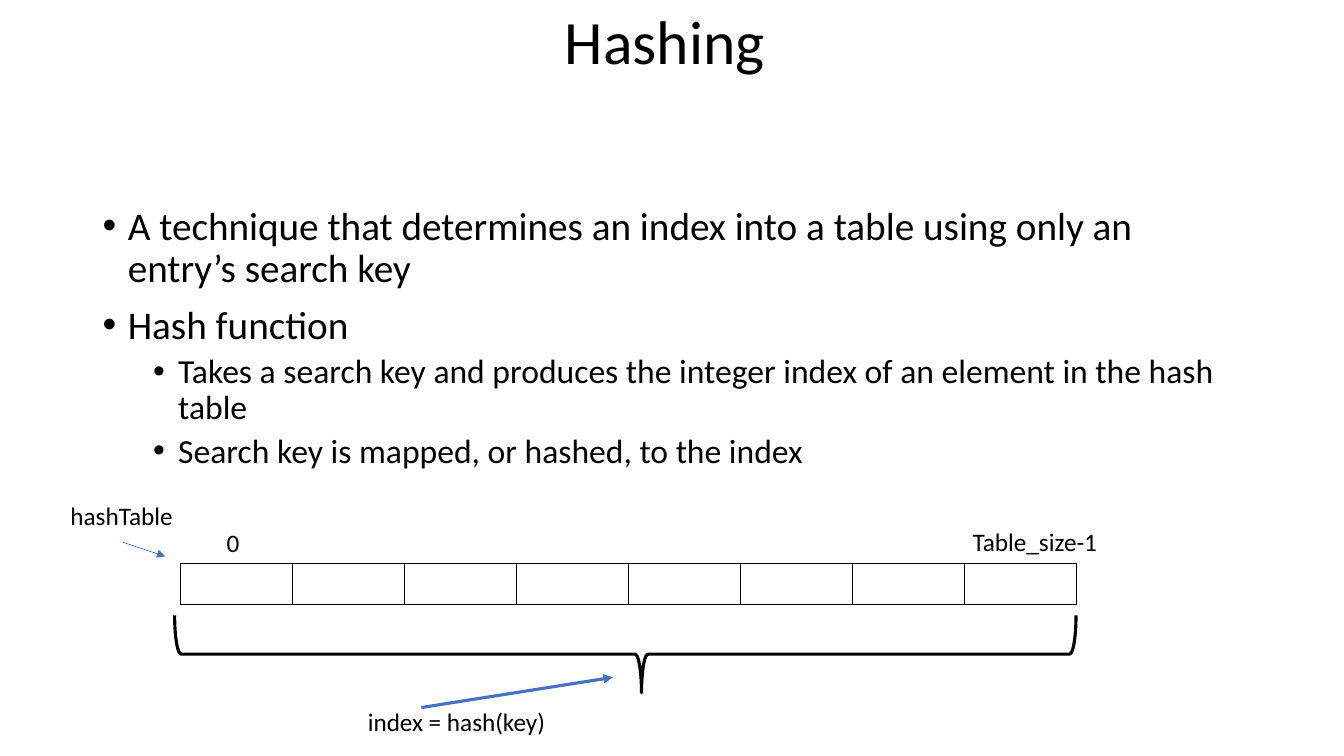
from lxml import etree
from pptx import Presentation
from pptx import util as u
from pptx.dml.color import RGBColor
from pptx.enum import shapes, text
from pptx.oxml import parse_xml
from pptx.oxml.ns import qn

WIDE, HIGH = u.Inches(13.33), u.Inches(7.5)
COLS, ROWS = 96, 54
SLOTS = 8
FONT = "Calibri"
INK = {"text": "000000", "cell": "FFFFFF", "arrow": "4472C4"}
NS = 'xmlns:a="http://schemas.openxmlformats.org/drawingml/2006/main"'
POINTS = [
    (0, "A technique that determines an index into a table using only an entry’s search key"),
    (0, "Hash function"),
    (1, "Takes a search key and produces the integer index of an element in the hash table"),
    (1, "Search key is mapped, or hashed, to the index"),
]
LABELS = [
    ("hashTable", 4.32, 35.42, 8.86),
    ("0", 15.48, 37.3, 2.38),
    ("Table_size-1", 68.76, 37.22, 10.44),
    ("index = hash(key)", 25.56, 50.11, 14.26),
]


def grid(*nums):
    """Turn alternating column and row counts into slide lengths."""
    units = (WIDE / COLS, HIGH / ROWS)
    return [u.Emu(round(n * units[i % 2])) for i, n in enumerate(nums)]


def color(name):
    return RGBColor.from_string(INK[name])


def write(para, words, size):
    run = para.add_run()
    run.text = words
    run.font.name = FONT
    run.font.size = u.Pt(size)
    run.font.color.rgb = color("text")


def add_box(slide, *place, wrap=True):
    frame = slide.shapes.add_textbox(*grid(*place)).text_frame
    frame.word_wrap = wrap
    return frame


def add_title(slide, words):
    frame = add_box(slide, 13.97, 0, 67.03, 6.41)
    frame.vertical_anchor = text.MSO_ANCHOR.MIDDLE
    para = frame.paragraphs[0]
    para.alignment = text.PP_ALIGN.CENTER
    para.line_spacing = 0.9
    write(para, words, 44)


def add_points(slide):
    frame = add_box(slide, 6.62, 14.4, 82.8, 34.27)
    for i, (level, words) in enumerate(POINTS):
        para = frame.add_paragraph() if i else frame.paragraphs[0]
        para.level = level
        para.line_spacing = 0.9
        para.space_before = u.Pt((5 if level else 10) if i else 0)
        props = para._p.get_or_add_pPr()
        props.set("marL", str(u.Inches(0.25 + 0.5 * level)))
        props.set("indent", str(-u.Inches(0.25)))
        etree.SubElement(props, qn("a:buFont"), typeface="Arial")
        etree.SubElement(props, qn("a:buChar"), char="•")
        write(para, words, 24 if level else 28)


def add_label(slide, words, left, top, width):
    frame = add_box(slide, left, top, width, 2.88, wrap=False)
    write(frame.paragraphs[0], words, 18)


def add_border(cell):
    props = cell._tc.get_or_add_tcPr()
    for i, side in enumerate("LRTB"):
        props.insert(i, parse_xml(
            f'<a:ln{side} {NS} w="{u.Pt(1)}"><a:solidFill>'
            f'<a:srgbClr val="{INK["text"]}"/></a:solidFill></a:ln{side}>'))


def add_slots(slide):
    """Draw the hash table as one row of empty cells."""
    place = grid(12.89, 40.25, 8 * SLOTS, 2.95)
    table = slide.shapes.add_table(1, SLOTS, *place).table
    table.first_row = table.horz_banding = False
    for cell in table.rows[0].cells:
        cell.fill.solid()
        cell.fill.fore_color.rgb = color("cell")
        add_border(cell)


def add_arrow(slide, weight, *ends):
    arrow = slide.shapes.add_connector(shapes.MSO_CONNECTOR.STRAIGHT, *grid(*ends))
    arrow.line.color.rgb = color("arrow")
    arrow.line.width = u.Pt(weight)
    etree.SubElement(arrow.line._get_or_add_ln(), qn("a:tailEnd"), type="triangle")
    etree.SubElement(arrow._element.spPr, qn("a:effectLst"))


def add_brace(slide):
    place = grid(41.9, 14.54, 5.54, 64.37)
    brace = slide.shapes.add_shape(shapes.MSO_SHAPE.LEFT_BRACE, *place)
    brace.rotation = 270
    brace.adjustments[0] = 0.083
    brace.adjustments[1] = 0.518
    brace.shadow.inherit = False
    brace.fill.background()
    brace.line.color.rgb = color("text")
    brace.line.width = u.Pt(2.25)


def main():
    deck = Presentation()
    deck.slide_width, deck.slide_height = WIDE, HIGH
    slide = deck.slides.add_slide(deck.slide_layouts[6])
    add_title(slide, "Hashing")
    add_points(slide)
    add_slots(slide)
    add_arrow(slide, 0.5, 8.78, 38.74, 11.81, 39.74)
    for label in LABELS:
        add_label(slide, *label)
    add_arrow(slide, 2.25, 30.1, 50.54, 43.78, 48.38)
    add_brace(slide)
    deck.save("out.pptx")


if __name__ == "__main__":
    main()
